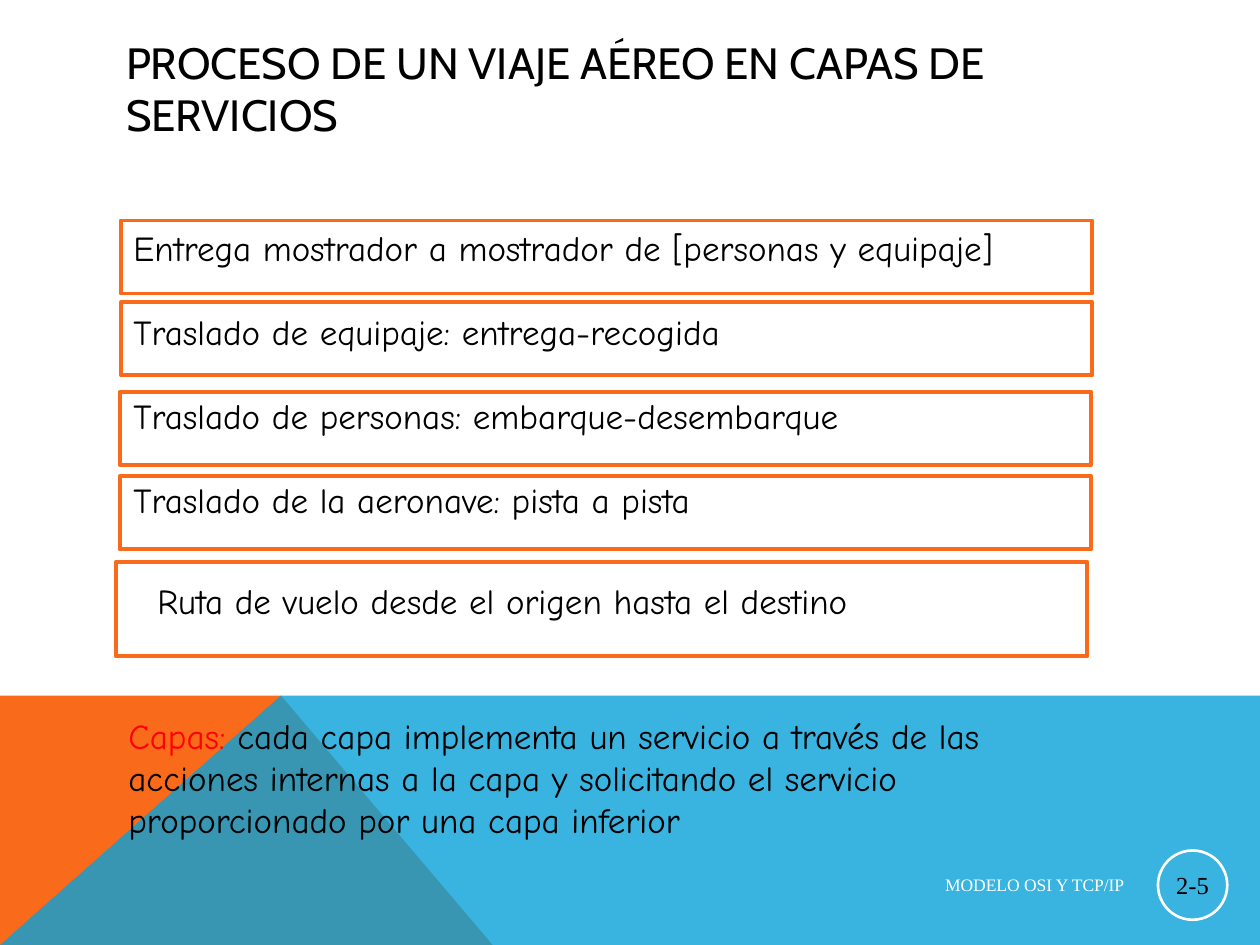
from dataclasses import dataclass

from lxml import etree
from pptx import Presentation
from pptx import util as u
from pptx.dml.color import RGBColor
from pptx.enum import shapes, text
from pptx.oxml.ns import qn

Inches, Pt = u.Inches, u.Pt
ALIGN, ANCHOR = text.PP_ALIGN, text.MSO_ANCHOR


@dataclass(frozen=True)
class Theme:
    orange: str = "F96A1B"
    blue: str = "08A1D9"
    red: str = "FF0000"
    black: str = "000000"
    white: str = "FFFFFF"
    title_font: str = "Cabin"
    body_font: str = "Comic Neue"
    footer_font: str = "Times New Roman"
    title_size: int = 25
    body_size: int = 20
    number_size: int = 14
    footer_size: int = 10


class SlideBuilder:
    def __init__(self, slide, theme):
        self.slide = slide
        self.theme = theme

    def style(self, paragraph, font, size, color):
        paragraph.font.name = font
        paragraph.font.size = Pt(size)
        if color:
            paragraph.font.color.rgb = RGBColor.from_string(color)

    def title(self, wording, left, top, width, height):
        shape = self.slide.shapes.title
        shape.left, shape.top = Inches(left), Inches(top)
        shape.width, shape.height = Inches(width), Inches(height)
        frame = shape.text_frame
        frame.text = wording
        frame.word_wrap = True
        frame.auto_size = text.MSO_AUTO_SIZE.NONE
        frame.vertical_anchor = ANCHOR.MIDDLE
        frame.paragraphs[0].alignment = ALIGN.LEFT
        theme = self.theme
        self.style(frame.paragraphs[0], theme.title_font, theme.title_size, theme.black)

    def band(self, points, color, opacity=None):
        """Filled polygon; opacity is a percentage."""
        corners = [(Inches(x), Inches(y)) for x, y in points]
        builder = self.slide.shapes.build_freeform(*corners[0])
        builder.add_line_segments(corners[1:], close=True)
        shape = builder.convert_to_shape()
        shape.shadow.inherit = False
        shape.line.fill.background()
        shape.fill.solid()
        shape.fill.fore_color.rgb = RGBColor.from_string(color)
        if opacity is not None:
            fill_color = shape.fill._xPr.find(f".//{qn('a:srgbClr')}")
            etree.SubElement(fill_color, qn("a:alpha"), val=str(opacity * 1000))

    def outline(self, kind, left, top, width, height, color, weight):
        shape = self.slide.shapes.add_shape(
            kind, Inches(left), Inches(top), Inches(width), Inches(height))
        shape.shadow.inherit = False
        shape.fill.background()
        shape.line.color.rgb = RGBColor.from_string(color)
        shape.line.width = Pt(weight)
        return shape

    def layer_frame(self, left, top, height):
        self.outline(shapes.MSO_SHAPE.RECTANGLE, left, top, 7.71, height,
                     self.theme.orange, 2.25)

    def page_number(self, wording, left, top, size):
        theme = self.theme
        shape = self.outline(shapes.MSO_SHAPE.OVAL, left, top, size, size, theme.white, 1.5)
        frame = shape.text_frame
        frame.margin_left = frame.margin_right = Inches(0.01)
        frame.margin_top = frame.margin_bottom = Inches(0.01)
        frame.vertical_anchor = ANCHOR.MIDDLE
        frame.text = wording
        frame.paragraphs[0].alignment = ALIGN.CENTER
        self.style(frame.paragraphs[0], theme.footer_font, theme.number_size, theme.black)

    def text_box(self, left, top, width, height):
        box = self.slide.shapes.add_textbox(
            Inches(left), Inches(top), Inches(width), Inches(height))
        box.text_frame.word_wrap = True
        return box.text_frame

    def footer(self, wording, left, top, width, height):
        frame = self.text_box(left, top, width, height)
        frame.vertical_anchor = ANCHOR.MIDDLE
        frame.text = wording
        frame.paragraphs[0].alignment = ALIGN.RIGHT
        theme = self.theme
        self.style(frame.paragraphs[0], theme.footer_font, theme.footer_size, theme.white)

    def body(self, lines, left, top, width, height, gap=0):
        """Body paragraphs, with gap points between them."""
        theme = self.theme
        frame = self.text_box(left, top, width, height)
        frame.text = "\n".join(lines)
        for index, paragraph in enumerate(frame.paragraphs):
            paragraph.space_before = Pt(gap if index else 0)
            self.style(paragraph, theme.body_font, theme.body_size, theme.black)

    def definition(self, term, meaning, left, top, width, height):
        theme = self.theme
        paragraph = self.text_box(left, top, width, height).paragraphs[0]
        self.style(paragraph, theme.body_font, theme.body_size, None)
        for wording, color in ((term, theme.red), (meaning, theme.black)):
            run = paragraph.add_run()
            run.text = wording
            run.font.color.rgb = RGBColor.from_string(color)


def main():
    presentation = Presentation()
    presentation.slide_width, presentation.slide_height = Inches(10), Inches(7.5)
    title_only = presentation.slide_layouts[5]
    theme = Theme()
    builder = SlideBuilder(presentation.slides.add_slide(title_only), theme)

    band_top, peak, bottom = 5.52, 2.23, 7.5
    builder.band([(0, bottom), (0, band_top), (peak, band_top), (3.91, bottom)], theme.orange)
    builder.band([(0, bottom), (peak, band_top), (10, band_top), (10, bottom)],
                 theme.blue, opacity=80)

    builder.title("PROCESO DE UN VIAJE AÉREO EN CAPAS DE SERVICIOS", 0.9, 0.4, 8.23, 0.6)
    builder.footer("MODELO OSI Y TCP/IP", 3.85, 6.87, 5.17, 0.3)
    builder.page_number("2-5", 9.19, 6.75, 0.55)

    builder.body(["Entrega mostrador a mostrador de [personas y equipaje]",
                  "Traslado de equipaje: entrega-recogida",
                  "Traslado de personas: embarque-desembarque",
                  "Traslado de la aeronave: pista a pista"],
                 0.96, 1.75, 7.67, 2.44, gap=24)
    builder.body(["Ruta de vuelo desde el origen hasta el destino"], 1.15, 4.55, 6.97, 0.44)
    for left, top, height in ((0.96, 1.75, 0.58), (0.96, 2.4, 0.58), (0.95, 3.11, 0.58),
                              (0.95, 3.78, 0.58), (0.92, 4.46, 0.75)):
        builder.layer_frame(left, top, height)

    builder.definition("Capas: ",
                       "cada capa implementa un servicio a través de las acciones internas "
                       "a la capa y solicitando el servicio proporcionado por una capa inferior",
                       0.92, 5.62, 7.71, 1.1)
    presentation.save("out.pptx")


if __name__ == "__main__":
    main()
